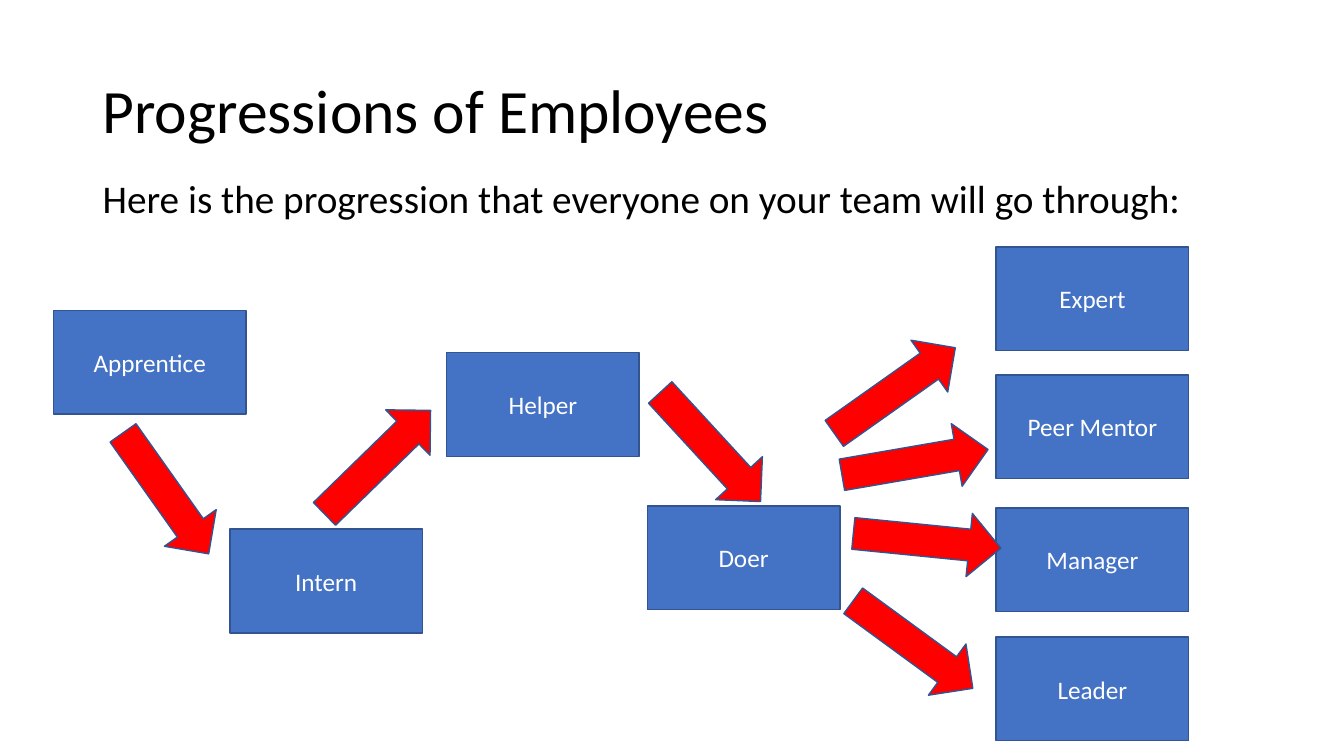
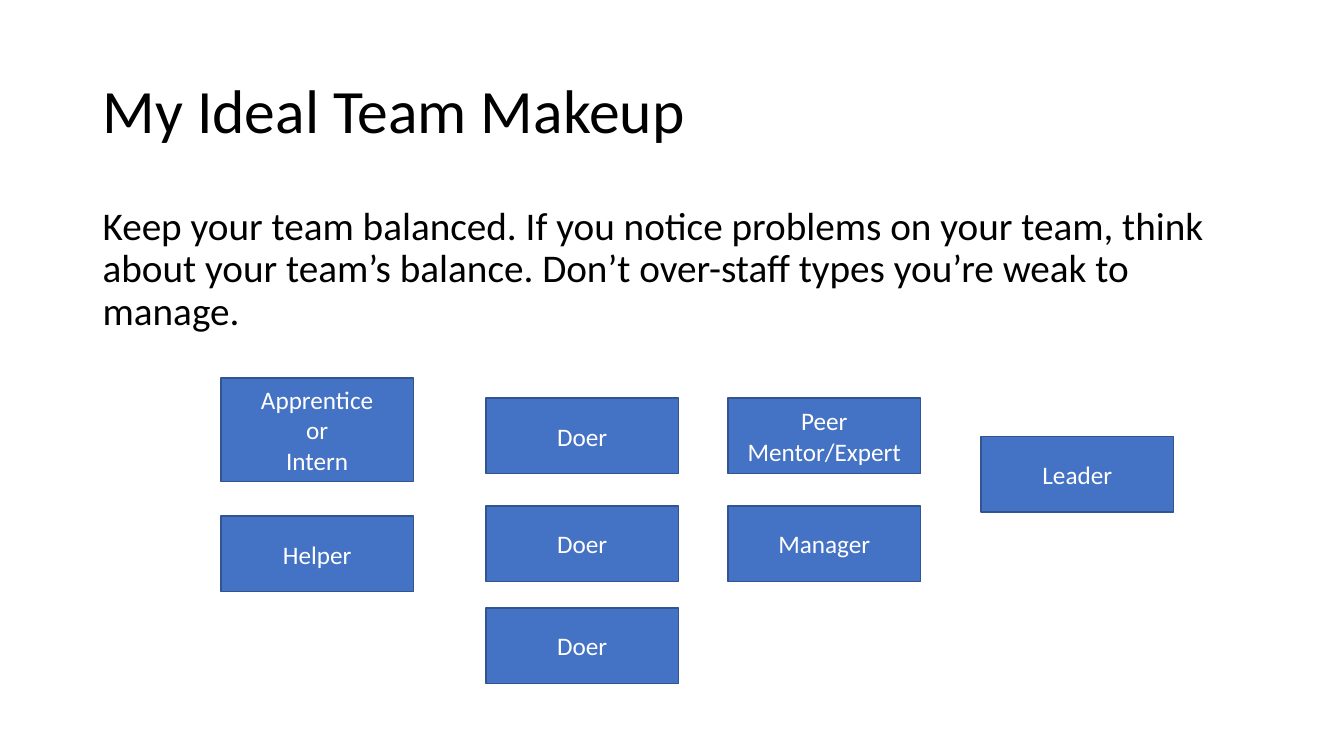
from pptx import Presentation
from pptx.dml.color import RGBColor
from pptx.enum.shapes import MSO_SHAPE as Preset
from pptx.enum.text import MSO_ANCHOR as Anchor, PP_ALIGN as Align
from pptx.util import Inches, Pt

COLORS = {
    "text": "000000",
    "box": "4472C4",
    "outline": "325491",
    "arrow": "FF0000",
    "label": "FFFFFF",
}
FONT = "Calibri"
MARGIN = 0.92
CONTENT_WIDTH = 11.5
BOX_WIDTH, TALL, SHORT = 1.91, 1.03, 0.75
ARROW_WIDTH, ARROW_HEIGHT = 1.47, 0.63


def color(name):
    return RGBColor.from_string(COLORS[name])


def write_text(shape, text, size=18, font_color="text", align=Align.LEFT,
               anchor=Anchor.TOP, line_spacing=None):
    frame = shape.text_frame
    frame.word_wrap = True
    frame.vertical_anchor = anchor
    paragraph = frame.paragraphs[0]
    paragraph.text = text
    paragraph.alignment = align
    paragraph.line_spacing = line_spacing
    for run in paragraph.runs:
        run.font.name = FONT
        run.font.size = Pt(size)
        run.font.color.rgb = color(font_color)


def add_text(slide, text, left, top, width, height, **text_format):
    shape = slide.shapes.add_textbox(
        Inches(left), Inches(top), Inches(width), Inches(height))
    write_text(shape, text, line_spacing=0.9, **text_format)


def add_shape(slide, preset, left, top, width, height, fill):
    shape = slide.shapes.add_shape(
        preset, Inches(left), Inches(top), Inches(width), Inches(height))
    shape.shadow.inherit = False
    shape.fill.solid()
    shape.fill.fore_color.rgb = color(fill)
    shape.line.color.rgb = color("outline")
    shape.line.width = Pt(1)
    return shape


def add_role(slide, text, left, top, height):
    shape = add_shape(slide, Preset.RECTANGLE, left, top, BOX_WIDTH, height, "box")
    write_text(shape, text, font_color="label", align=Align.CENTER,
               anchor=Anchor.MIDDLE)


def add_arrow(slide, left, top, rotation):
    shape = add_shape(slide, Preset.RIGHT_ARROW, left, top,
                      ARROW_WIDTH, ARROW_HEIGHT, "arrow")
    shape.rotation = rotation


def add_content_slide(presentation, title, body, body_top, body_width, body_height):
    slide = presentation.slides.add_slide(presentation.slide_layouts[6])
    add_text(slide, title, MARGIN, 0.4, CONTENT_WIDTH, 1.45,
             size=44, anchor=Anchor.MIDDLE)
    add_text(slide, body, MARGIN, body_top, body_width, body_height, size=28)
    return slide


def add_career_path(slide, left, top):
    # Steps everyone takes, each as text, x, y
    for text, x, y in [("Apprentice", 0, 0.63), ("Intern", 1.75, 2.8),
                       ("Helper", 3.9, 1.05), ("Doer", 5.89, 2.57)]:
        add_role(slide, text, left + x, top + y, TALL)
    # Final roles, in one column
    for text, y in [("Expert", 0), ("Peer Mentor", 1.27),
                    ("Manager", 2.59), ("Leader", 3.87)]:
        add_role(slide, text, left + 9.35, top + y, TALL)
    # Arrows between steps, then from the doer to each final role
    for x, y, rotation in [(0.38, 2.13, 54.7), (2.48, 1.82, 315.7),
                           (5.78, 1.67, 47.4), (7.61, 1.11, 324.7),
                           (7.81, 1.82, 350.2), (7.93, 2.6, 5.7),
                           (7.79, 3.63, 36.2)]:
        add_arrow(slide, left + x, top + y, rotation)


def add_team(slide, left, top):
    # Columns of the team: x, then text, y and height of each role
    columns = [
        (0, [("Apprentice\vor\vIntern", 0, TALL), ("Helper", 1.37, SHORT)]),
        (2.63, [("Doer", y, SHORT) for y in (0.2, 1.27, 2.28)]),
        (5.03, [("Peer Mentor/Expert", 0.2, SHORT), ("Manager", 1.27, SHORT)]),
        (7.54, [("Leader", 0.58, SHORT)]),
    ]
    for x, roles in columns:
        for text, y, height in roles:
            add_role(slide, text, left + x, top + y, height)


def main():
    presentation = Presentation()
    presentation.slide_width = Inches(13.33)
    presentation.slide_height = Inches(7.5)

    slide = add_content_slide(
        presentation, "Progressions of Employees",
        "Here is the progression that everyone on your team will go through:",
        1.73, 11.71, 0.61)
    add_career_path(slide, 0.53, 2.45)

    slide = add_content_slide(
        presentation, "My Ideal Team Makeup",
        "Keep your team balanced. If you notice problems on your team, think "
        "about your team’s balance. Don’t over-staff types you’re weak to manage.",
        2, CONTENT_WIDTH, 1.5)
    add_team(slide, 2.19, 3.75)

    presentation.save("out.pptx")


if __name__ == "__main__":
    main()
